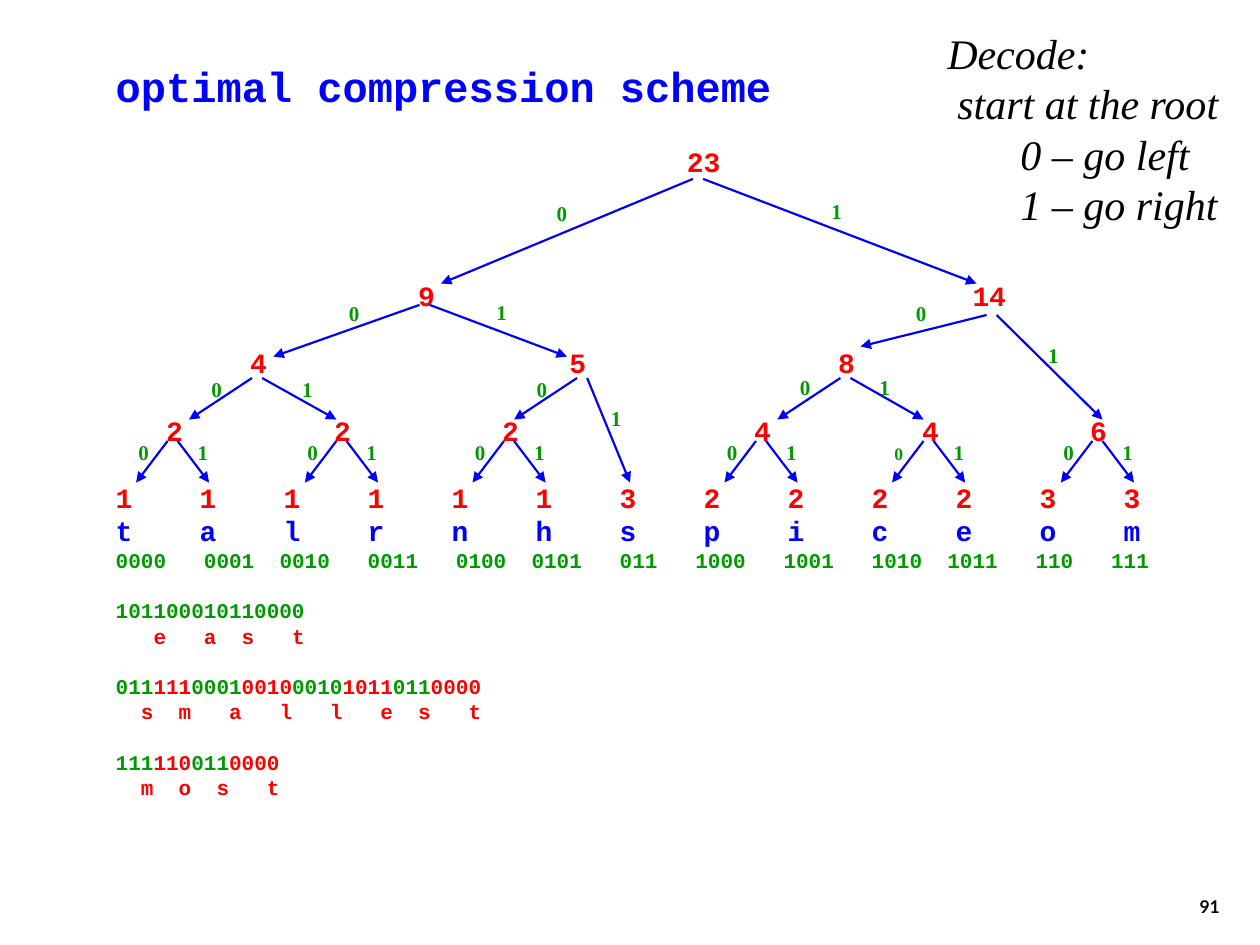
from itertools import accumulate, cycle

from pptx import Presentation
from pptx.dml.color import RGBColor
from pptx.enum.shapes import MSO_CONNECTOR as CONN
from pptx.enum.text import MSO_ANCHOR as ANCHOR, MSO_AUTO_SIZE as AUTO, PP_ALIGN as ALIGN
from pptx.oxml.ns import qn
from pptx.util import Inches, Pt
from lxml.etree import SubElement

BLUE = RGBColor(0x00, 0x00, 0xFF)
RED = RGBColor(0xFF, 0x00, 0x00)
GREEN = RGBColor(0x00, 0x99, 0x00)
BLACK = RGBColor(0x00, 0x00, 0x00)
MONO, SERIF, SANS = "Courier New", "Times New Roman", "Lato"

CODES = dict(t="0000", a="0001", l="0010", r="0011", n="0100", h="0101", s="011",
             p="1000", i="1001", c="1010", e="1011", o="110", m="111")
CODE_COLUMNS = [0, 7, 13, 20, 27, 33, 40, 46, 53, 60, 66, 73, 79]
LEAF_COLUMNS = range(0, 61, 5)
LEAF_WEIGHTS = "1111113222233"

# Tree levels: (lines of space above, {column: weight})
LEVELS = [
    (1, {34: "23"}),
    (3, {18: "9", 51: "14"}),
    (1, {8: "4", 27: "5", 43: "8"}),
    (1, {3: "2", 13: "2", 23: "2", 38: "4", 48: "4", 58: "6"}),
]

# Inner nodes: (x, y, left end, right end, label 0, label 1)
BRANCHES = [
    (5.5, 1.42, (3.5, 2.25), (7.75, 2.25), (4.32, 1.54), (6.5, 1.53)),
    (3.33, 2.42, (2.17, 2.83), (4.5, 2.83), (2.67, 2.34), (3.84, 2.33)),
    (7.83, 2.5, (6.83, 2.75), (8.75, 3.33), (7.17, 2.34), (8.22, 2.67)),
    (2, 3, (1.5, 3.33), (2.67, 3.33), (1.58, 2.94), (2.3, 2.94)),
    (4.58, 3, (4.08, 3.33), (5, 3.83), (4.16, 2.94), (4.75, 3.17)),
    (6.67, 3, (6.17, 3.33), (7.33, 3.33), (6.25, 2.92), (6.88, 2.92)),
]
LEAF_PARENTS = [1.33, 2.67, 4, 6, 7.33, 8.67]
SMALL_LABEL_PARENT = 7.33


def add_run(p, text, size=12, color=BLACK, font=SERIF, bold=False, italic=False):
    r = p.add_run()
    r.text = text
    f = r.font
    f.size, f.name, f.bold, f.italic = Pt(size), font, bold, italic
    f.color.rgb = color


class SlideBuilder:
    def __init__(self, slide):
        self.s = slide

    def box(self, x, y, w, h, wrap=False, top=0.05):
        tf = self.s.shapes.add_textbox(*map(Inches, (x, y, w, h))).text_frame
        tf.word_wrap = wrap
        tf.auto_size = AUTO.NONE if wrap else AUTO.SHAPE_TO_FIT_TEXT
        tf.margin_top = Inches(top)
        return tf

    def paragraph(self, tf, size, gap=0):
        """Next paragraph, with a gap of so many lines above it."""
        first = tf.paragraphs[0]
        p = tf.add_paragraph() if first.runs else first
        p.line_spacing = Pt(1.2 * size)
        if gap:
            p.space_before = Pt(1.2 * size * gap)
        return p

    def row(self, tf, cells, size, color, gap=0):
        """Line of {column: text}, with tab stops on the character grid."""
        p = self.paragraph(tf, size, gap)
        stops = SubElement(p._p.get_or_add_pPr(), qn("a:tabLst"))
        for column, text in cells.items():
            if column:
                SubElement(stops, qn("a:tab"), pos=str(Pt(0.6 * size * column)), algn="l")
                text = "\t" + text
            add_run(p, text, size, color, MONO, bold=True)

    def message(self, tf, word, colors):
        """Encoded word, with each letter under the last bit of its code."""
        codes = [CODES[letter] for letter in word]
        p = self.paragraph(tf, 12, gap=1)
        for code, color in zip(codes, cycle(colors)):
            add_run(p, code, 12, color, MONO, bold=True)
        ends = accumulate(map(len, codes))
        self.row(tf, {end - 1: letter for end, letter in zip(ends, word)}, 12, RED)

    def arrow(self, start, end):
        c = self.s.shapes.add_connector(CONN.STRAIGHT, *map(Inches, (*start, *end)))
        c.line.color.rgb = BLUE
        c.line.width = Pt(1.25)
        SubElement(c.line._get_or_add_ln(), qn("a:tailEnd"), type="triangle")
        SubElement(c._element.spPr, qn("a:effectLst"))

    def bit(self, text, x, y, size=12):
        tf = self.box(x, y, 0.28, 0.3)
        add_run(self.paragraph(tf, size), text, size, GREEN, bold=True)

    def branch(self, x, y, left, right, zero, one, zero_size=12):
        self.arrow((x, y), left)
        self.arrow((x + 0.08, y), right)
        self.bit("0", *zero, size=zero_size)
        self.bit("1", *one)


def main():
    prs = Presentation()
    prs.slide_width, prs.slide_height = Inches(10), Inches(7.5)
    b = SlideBuilder(prs.slides.add_slide(prs.slide_layouts[6]))

    tf = b.box(7.7, 6.83, 2.08, 0.5, wrap=True)
    tf.vertical_anchor = ANCHOR.BOTTOM
    p = tf.paragraphs[0]
    p.alignment = ALIGN.RIGHT
    add_run(p, "91", 10, font=SANS, bold=True)

    tf = b.box(0.82, 0.41, 9.02, 5.97, wrap=True, top=0.07)
    b.row(tf, {0: "optimal compression scheme"}, 24, BLUE)
    for gap, weights in LEVELS:
        b.row(tf, weights, 16, RED, gap)
    b.row(tf, dict(zip(LEAF_COLUMNS, LEAF_WEIGHTS)), 16, RED, gap=1)
    b.row(tf, dict(zip(LEAF_COLUMNS, CODES)), 16, BLUE)
    b.row(tf, dict(zip(CODE_COLUMNS, CODES.values())), 12, GREEN)
    b.message(tf, "east", [GREEN])
    b.message(tf, "smallest".replace("est", "est"), [GREEN, RED])
    b.message(tf, "most", [GREEN, RED])

    for branch in BRANCHES:
        b.branch(*branch)
    for x in LEAF_PARENTS:
        small = x == SMALL_LABEL_PARENT
        b.branch(x, 3.5, (x - 0.25, 3.83), (x + 0.33, 3.83),
                 (x - 0.33, 3.47 if small else 3.44), (x + 0.14, 3.44),
                 zero_size=10 if small else 12)

    tf = b.box(7.42, 0.17, 2.36, 1.7)
    for text, indent in [("Decode:", 0), ("start at the root", 0.08),
                         ("0 – go left", 0.58), ("1 – go right", 0.58)]:
        p = b.paragraph(tf, 24)
        p._p.get_or_add_pPr().set("marL", str(Inches(indent)))
        add_run(p, text, 24, italic=True)

    prs.save("out.pptx")


if __name__ == "__main__":
    main()
